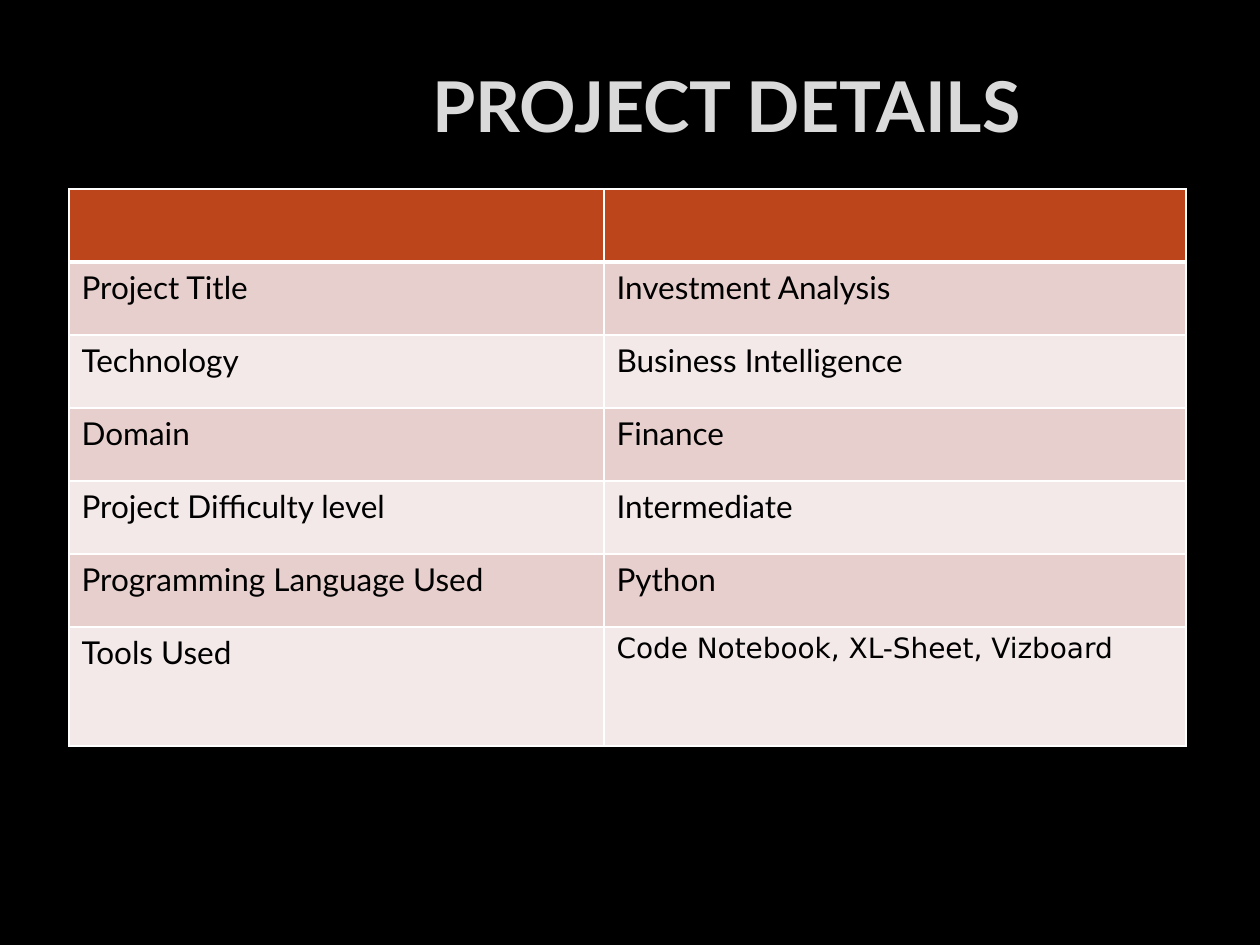
from dataclasses import dataclass

from lxml.etree import SubElement
from pptx import Presentation
from pptx.dml.color import RGBColor
from pptx.enum.text import MSO_ANCHOR, PP_ALIGN
from pptx.oxml.ns import qn
from pptx.util import Emu, Pt

EMU_PER_PX = 914400 / 126


@dataclass(frozen=True)
class Theme:
    background: str = "000000"
    title: str = "DADADA"
    text: str = "000000"
    header: str = "BC451B"
    bands: tuple = ("E7CFCD", "F3E9E8")
    border: str = "FFFFFF"
    font: str = "Lato"
    tools_font: str = "DejaVu Sans"
    title_size: int = 40
    body_size: int = 18
    tools_size: int = 16


THEME = Theme()

DETAILS = [
    ("Project Title", "Investment Analysis"),
    ("Technology", "Business Intelligence"),
    ("Domain", "Finance"),
    ("Project Difficulty level", "Intermediate"),
    ("Programming Language Used", "Python"),
    ("Tools Used", "Code Notebook, XL-Sheet, Vizboard"),
]
COLUMN_WIDTHS = (535, 582)
ROW_HEIGHT, LAST_ROW_HEIGHT = 73, 119


def px(length):
    return Emu(round(length * EMU_PER_PX))


def write(frame, text, color, **font_format):
    para = frame.paragraphs[0]
    span = para.add_run()
    span.text = text
    span.font.color.rgb = RGBColor.from_string(color)
    for name, value in font_format.items():
        setattr(span.font, name, value)
    return para


def paint(fill, color):
    fill.solid()
    fill.fore_color.rgb = RGBColor.from_string(color)


def add_title(page, text, left, top, width, height):
    box = page.shapes.add_textbox(px(left), px(top), px(width), px(height))
    frame = box.text_frame
    frame.word_wrap = True
    frame.vertical_anchor = MSO_ANCHOR.MIDDLE
    para = write(frame, text, THEME.title, name=THEME.font,
                 size=Pt(THEME.title_size), bold=True)
    para.alignment = PP_ALIGN.CENTER


def add_borders(cell, widths):
    properties = cell._tc.get_or_add_tcPr()
    for side, width in widths.items():
        line = SubElement(properties, qn(f"a:ln{side}"), w=str(Pt(width)))
        fill = SubElement(line, qn("a:solidFill"))
        SubElement(fill, qn("a:srgbClr"), val=THEME.border)


def style_cell(cell, color, top=1, bottom=1):
    # Border lines come before the fill in the cell properties
    add_borders(cell, {"L": 1, "R": 1, "T": top, "B": bottom})
    paint(cell.fill, color)


def add_details_table(page, left, top):
    heights = [ROW_HEIGHT] * len(DETAILS) + [LAST_ROW_HEIGHT]
    table = page.shapes.add_table(
        len(heights), len(COLUMN_WIDTHS), px(left), px(top),
        px(sum(COLUMN_WIDTHS)), px(sum(heights))).table
    for column, width in zip(table.columns, COLUMN_WIDTHS):
        column.width = px(width)
    for row, height in zip(table.rows, heights):
        row.height = px(height)

    # Empty header row with a heavy rule below
    for cell in table.rows[0].cells:
        style_cell(cell, THEME.header, bottom=3)

    # Banded detail rows
    for index, texts in enumerate(DETAILS):
        for cell, text in zip(table.rows[index + 1].cells, texts):
            style_cell(cell, THEME.bands[index % 2], top=1 if index else 3)
            write(cell.text_frame, text, THEME.text,
                  name=THEME.font, size=Pt(THEME.body_size))

    # The list of tools has its own face and size
    tools = table.cell(len(DETAILS), 1).text_frame.paragraphs[0].runs[0]
    tools.font.name = THEME.tools_font
    tools.font.size = Pt(THEME.tools_size)


def main():
    deck = Presentation()
    deck.slide_width, deck.slide_height = px(1260), px(945)
    page = deck.slides.add_slide(deck.slide_layouts[6])
    paint(page.background.fill, THEME.background)
    add_title(page, "PROJECT DETAILS", 256, 21, 941, 168)
    add_details_table(page, 69, 189)
    deck.save("out.pptx")


if __name__ == "__main__":
    main()
